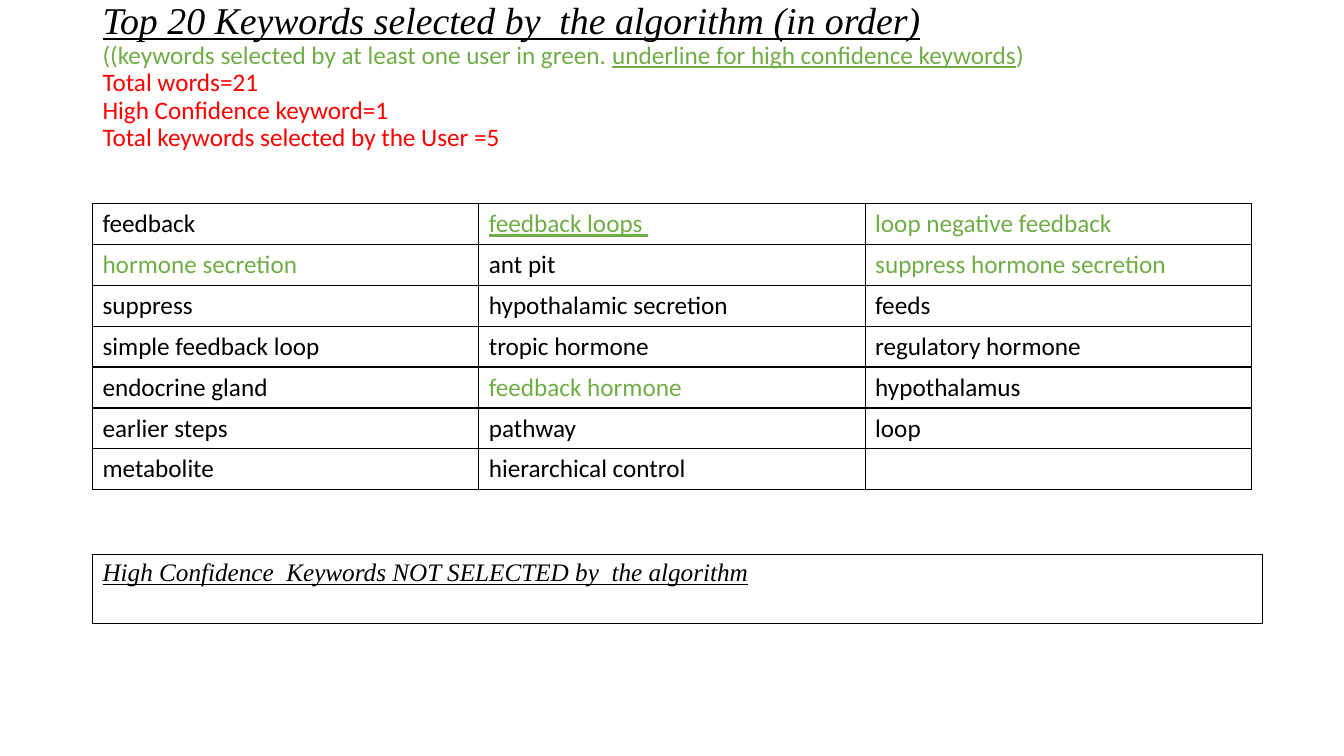
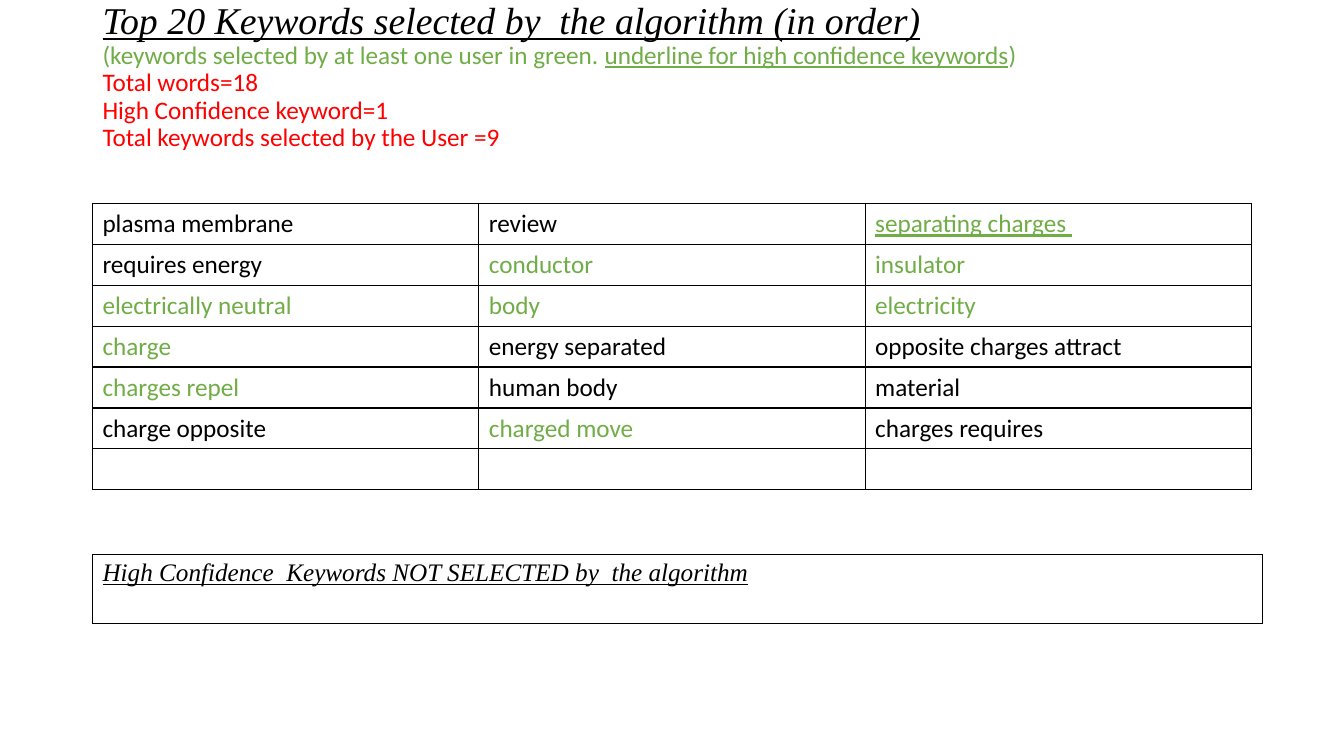
import pptx
import pptx.util
import pptx.dml.color
import pptx.enum.text
import lxml.etree
from dataclasses import dataclass

Cm, Pt = pptx.util.Cm, pptx.util.Pt


@dataclass(frozen=True)
class Theme:
    black: str = "000000"
    green: str = "70AD47"
    red: str = "FF0000"
    sans: str = "Calibri"
    serif: str = "Times New Roman"
    head: int = 27
    body: int = 18
    line: int = 1


theme = Theme()
left = Cm(2.33)
wide = Cm(29.21)
cols = 3
rows = 7

pages = [
    {
        "lead": "((keywords selected by at least one user in green. ",
        "total": 21,
        "users": 5,
        "words": [
            "feedback", "feedback loops ", "loop negative feedback",
            "hormone secretion", "ant pit", "suppress hormone secretion",
            "suppress", "hypothalamic secretion", "feeds",
            "simple feedback loop", "tropic hormone", "regulatory hormone",
            "endocrine gland", "feedback hormone", "hypothalamus",
            "earlier steps", "pathway", "loop",
            "metabolite", "hierarchical control",
        ],
        "green": {
            "feedback loops ", "loop negative feedback", "hormone secretion",
            "suppress hormone secretion", "feedback hormone",
        },
        "sure": {"feedback loops "},
    },
    {
        "lead": "(keywords selected by at least one user in green. ",
        "total": 18,
        "users": 9,
        "words": [
            "plasma membrane", "review", "separating charges ",
            "requires energy", "conductor", "insulator",
            "electrically neutral", "body", "electricity",
            "charge", "energy separated", "opposite charges attract",
            "charges repel", "human body", "material",
            "charge opposite", "charged move", "charges requires",
        ],
        "green": {
            "separating charges ", "conductor", "insulator",
            "electrically neutral", "body", "electricity", "charge",
            "charges repel", "charged move",
        },
        "sure": {"separating charges "},
    },
]


def style(para, color, size=theme.body, name=theme.sans, slant=False, under=False):
    font = para.font
    font.name, font.size = name, Pt(size)
    font.bold, font.italic, font.underline = False, slant, under
    font.color.rgb = pptx.dml.color.RGBColor.from_string(color)


def grid(slide, count, across, top, width, height):
    """Add a plain table with a thin line round every cell."""
    table = slide.shapes.add_table(count, across, left, top, width, height).table
    table.first_row = table.horz_banding = False
    space = "http://schemas.openxmlformats.org/drawingml/2006/main"
    for cell in table.iter_cells():
        props = cell._tc.get_or_add_tcPr()
        for side in ("lnL", "lnR", "lnT", "lnB"):
            edge = lxml.etree.SubElement(props, f"{{{space}}}{side}", w=str(Pt(theme.line)))
            fill = lxml.etree.SubElement(edge, f"{{{space}}}solidFill")
            lxml.etree.SubElement(fill, f"{{{space}}}srgbClr", val=theme.black)
        cell.fill.background()
    return table


deck = pptx.Presentation()
deck.slide_width, deck.slide_height = Cm(33.87), Cm(19.05)

for page in pages:
    slide = deck.slides.add_slide(deck.slide_layouts[5])

    # Title with key and counts; the deep lower inset lifts the text
    title = slide.shapes.title
    title.left, title.top, title.width, title.height = left, Cm(1.01), wide, Cm(3.68)
    frame = title.text_frame
    frame.auto_size = pptx.enum.text.MSO_AUTO_SIZE.NONE
    frame.vertical_anchor = pptx.enum.text.MSO_ANCHOR.MIDDLE
    frame.margin_top, frame.margin_bottom = 0, Cm(1.83)
    frame.text = "\n".join([
        "Top 20 Keywords selected by  the algorithm (in order)",
        page["lead"],
        f"Total words={page['total']}",
        "High Confidence keyword=1",
        f"Total keywords selected by the User ={page['users']}",
    ])
    head, key, *counts = frame.paragraphs
    for para in frame.paragraphs:
        para.alignment = pptx.enum.text.PP_ALIGN.LEFT
        para.line_spacing = 0.9
    style(head, theme.black, theme.head, theme.serif, True, True)
    style(key, theme.green)
    for para in counts:
        style(para, theme.red)
    mark = key.add_run()
    mark.text = "underline for high confidence keywords"
    mark.font.underline = True
    key.add_run().text = ")"

    # Keywords, filled row by row
    table = grid(slide, rows, cols, Cm(5.13), wide, Cm(1.03) * rows)
    for cell, word in zip(table.iter_cells(), page["words"]):
        cell.text = word
        color = theme.green if word in page["green"] else theme.black
        style(cell.text_frame.paragraphs[0], color, under=word in page["sure"])

    # Missed keywords
    missed = grid(slide, 1, 1, Cm(13.97), Cm(29.49), Cm(1.75)).cell(0, 0)
    missed.text = "High Confidence  Keywords NOT SELECTED by  the algorithm"
    style(missed.text_frame.paragraphs[0], theme.black, theme.body, theme.serif, True, True)

deck.save("out.pptx")
